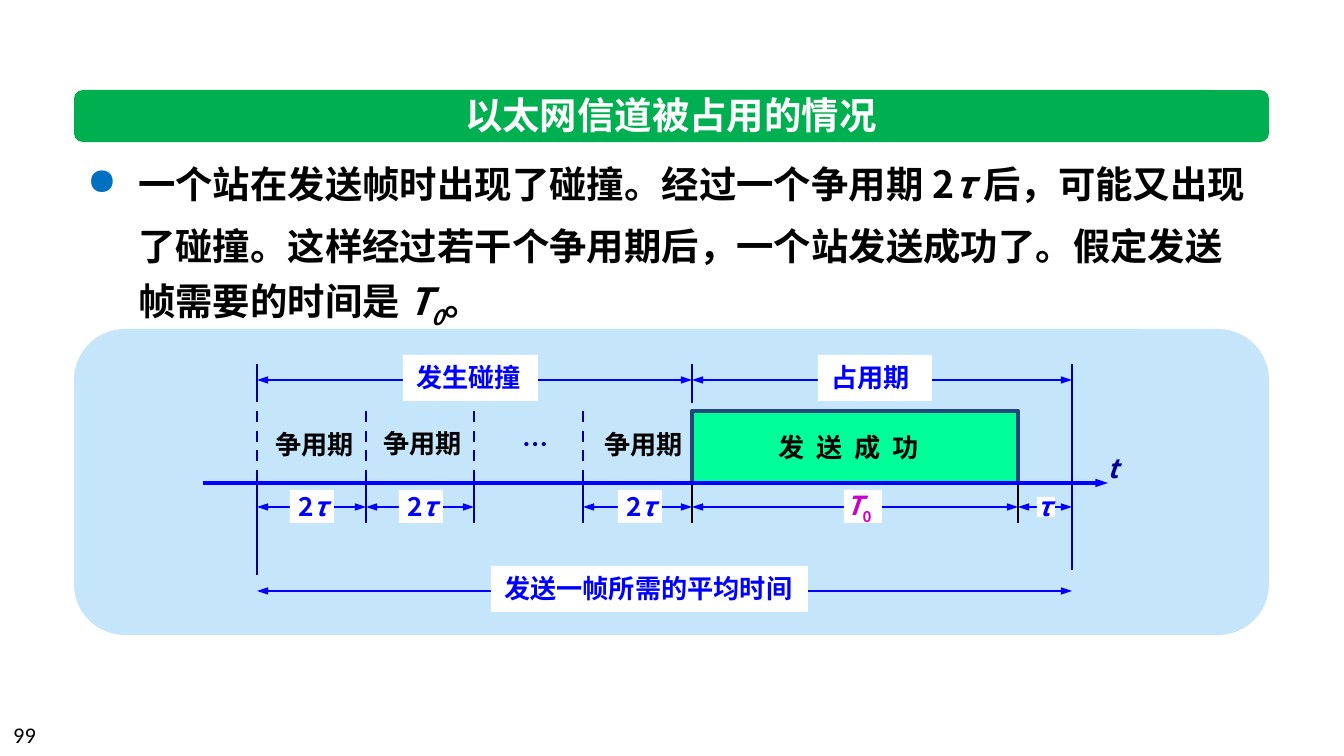
from dataclasses import dataclass

from lxml.etree import SubElement
from pptx import Presentation
from pptx.dml.color import RGBColor
from pptx.enum.dml import MSO_LINE
from pptx.enum.shapes import MSO_CONNECTOR, MSO_SHAPE
from pptx.enum.text import MSO_AUTO_SIZE, MSO_ANCHOR, PP_ALIGN
from pptx.oxml.ns import qn
from pptx.util import Pt

SCALE = 914400 / 134.4
PERIOD_START, PERIOD = 257, 108.7
SEND_END, CYCLE_END = 1018, 1072
AXIS, SPAN_ROW, SLOT_TOP = 483, 507, 411


@dataclass(frozen=True)
class Theme:
    font: str = "Noto Sans CJK SC"
    number_font: str = "Calibri"
    heading_size: int = 20
    label_size: int = 14
    number_size: int = 12
    black: str = "000000"
    white: str = "FFFFFF"
    green: str = "00B050"
    bullet: str = "0070C0"
    panel: str = "C5E5FB"
    blue: str = "0000FF"
    navy: str = "000099"
    success: str = "00FF99"
    border: str = "1F497D"
    magenta: str = "CC00CC"


def px(value):
    return round(value * SCALE)


def color(value):
    return RGBColor.from_string(value)


class Board:
    """Draws styled elements on the current slide or group."""

    def __init__(self, slide, theme):
        self.slide, self.theme = slide, theme
        self.canvas = slide.shapes

    def start_group(self):
        self.canvas = self.slide.shapes.add_group_shape().shapes

    def end_group(self):
        self.canvas = self.slide.shapes

    def box(self, left, top, width, height, fill, kind=MSO_SHAPE.RECTANGLE):
        shape = self.canvas.add_shape(kind, *map(px, (left, top, width, height)))
        shape.shadow.inherit = False
        shape.fill.solid()
        shape.fill.fore_color.rgb = color(fill)
        shape.line.fill.background()
        return shape

    def text(self, left, top, width, height, runs, **style):
        shape = self.canvas.add_textbox(*map(px, (left, top, width, height)))
        return self.set_runs(shape, runs, **style)

    def label(self, left, top, width, height, words):
        shape = self.box(left, top, width, height, self.theme.white)
        return self.set_runs(shape, [(words, {})], ink=self.theme.blue)

    def set_runs(self, shape, runs, ink, size=None, font=None, bold=True,
                 wrap=False, grow=True, align=PP_ALIGN.LEFT):
        frame_format = {
            "word_wrap": wrap,
            "auto_size": MSO_AUTO_SIZE.SHAPE_TO_FIT_TEXT if grow else MSO_AUTO_SIZE.NONE,
            "vertical_anchor": MSO_ANCHOR.TOP,
        }
        for name, value in frame_format.items():
            setattr(shape.text_frame, name, value)
        paragraph = shape.text_frame.paragraphs[0]
        paragraph.alignment = align
        face = font or self.theme.font
        for words, changes in runs:
            run = paragraph.add_run()
            run.text = words
            font_format = {"name": face, "size": Pt(size or self.theme.label_size),
                           "bold": bold, "italic": changes.get("italic", False)}
            for name, value in font_format.items():
                setattr(run.font, name, value)
            run.font.color.rgb = color(ink)
            properties = run._r.get_or_add_rPr()
            SubElement(properties, qn("a:ea")).set("typeface", face)
            if "baseline" in changes:
                properties.set("baseline", str(changes["baseline"]))
        return paragraph

    def bullet(self, paragraph, indent, spacing):
        paragraph.line_spacing = Pt(spacing)
        properties = paragraph._p.get_or_add_pPr()
        properties.set("marL", str(px(indent)))
        properties.set("indent", str(-px(indent)))
        bullet_color = SubElement(properties, qn("a:buClr"))
        SubElement(bullet_color, qn("a:srgbClr")).set("val", self.theme.bullet)
        SubElement(properties, qn("a:buChar")).set("char", "●")

    def line(self, start, end, ink, width=1.5, dash=None, arrows=()):
        connector = self.canvas.add_connector(
            MSO_CONNECTOR.STRAIGHT, *map(px, (*start, *end)))
        connector.line.color.rgb = color(ink)
        for name, value in {"width": Pt(width), "dash_style": dash}.items():
            setattr(connector.line, name, value)
        outline = connector.line._get_or_add_ln()
        for arrow in arrows:
            head = SubElement(outline, qn(f"a:{arrow}"))
            for name, value in {"type": "triangle", "w": "sm", "len": "med"}.items():
                head.set(name, value)
        SubElement(connector._element.spPr, qn("a:effectLst"))

    def span(self, left, right, row):
        self.line((left, row), (right, row), self.theme.blue, arrows=("headEnd", "tailEnd"))

    def upright(self, x, top, bottom, ink, width=1.5, dash=None):
        self.line((x, top), (x, bottom), ink, width, dash)

    def outline(self, points, fill, ink, width):
        builder = self.canvas.build_freeform(*points[0], scale=SCALE)
        builder.add_line_segments(points[1:], close=False)
        shape = builder.convert_to_shape()
        shape.shadow.inherit = False
        shape.fill.solid()
        shape.fill.fore_color.rgb = color(fill)
        shape.line.color.rgb = color(ink)
        shape.line.width = Pt(width)


def draw_text(board):
    theme = board.theme
    italic = {"italic": True}
    paragraph = board.text(74, 138, 1195, 200, [
        ("一个站在发送帧时出现了碰撞。经过一个争用期 2", {}),
        ("τ ", italic),
        ("后，可能又出现了碰撞。这样经过若干个争用期后，一个站发送成功了。假定发送帧需要的时间是 ", {}),
        ("T", italic),
        ("0", {"italic": True, "baseline": -25000}),
        ("。", {}),
    ], ink=theme.black, size=theme.heading_size, wrap=True)
    board.bullet(paragraph, 51, 33)
    board.box(74, 90, 1195, 52, theme.green, MSO_SHAPE.ROUNDED_RECTANGLE)
    board.text(450, 86, 442, 59, [("以太网信道被占用的情况", {})], ink=theme.white,
               size=theme.heading_size, align=PP_ALIGN.CENTER)


def draw_timeline(board):
    theme = board.theme
    ticks = [round(PERIOD_START + PERIOD * step) for step in range(5)]
    start, second, third, fourth, success = ticks
    italic = {"italic": True}
    board.box(74, 329, 1195, 306, theme.panel, MSO_SHAPE.ROUNDED_RECTANGLE)
    for left, right, row in [
        (start, CYCLE_END, 591), (start, success, 380), (success, CYCLE_END, 380),
        (SEND_END, CYCLE_END, SPAN_ROW), (success, SEND_END, SPAN_ROW),
        (fourth, success, SPAN_ROW), (second, third, SPAN_ROW), (start, second, SPAN_ROW),
    ]:
        board.span(left, right, row)
    board.outline([(success, AXIS), (success, SLOT_TOP), (SEND_END, SLOT_TOP),
                   (SEND_END, AXIS)], theme.success, theme.border, 2.25)
    for x in ticks[:4]:
        board.upright(x, SLOT_TOP, AXIS, theme.navy, dash=MSO_LINE.DASH)
    for x in (second, third, fourth, success, SEND_END):
        ink = theme.navy if x < success else theme.black
        board.upright(x, AXIS, 523, ink, 0.75)
    for x, top, bottom in [(start, 364, 402), (start, 480, 575),
                           (success, 364, 403), (CYCLE_END, 364, 570)]:
        board.upright(x, top, bottom, theme.navy)
    board.line((203, AXIS), (1108, AXIS), theme.blue, 2.25, arrows=("tailEnd",))

    board.text(765, 425, 187, 46, [("发  送  成  功", {})], ink=theme.black)
    for left, top in [(262, 422), (370, 421), (591, 422)]:
        board.text(left, top, 114, 46, [("争用期", {})], ink=theme.black)
    board.text(509, 422, 52, 46, [("…", {})], ink=theme.navy)
    for left in (290, 399, 618):
        board.box(left, 490, 44, 33, theme.white)
        board.text(left - 5, 484, 63, 46, [("2", {}), ("τ", italic)],
                   ink=theme.blue, wrap=True)
    board.box(844, 490, 38, 33, theme.white)
    board.text(833, 483, 55, 46, [("T", italic), ("0", {"baseline": -25000})],
               ink=theme.magenta)
    board.box(1037, 497, 18, 20, theme.white)
    board.text(1024, 484, 39, 46, [("τ", italic)], ink=theme.blue)
    board.text(1094, 446, 38, 46, [("t", italic)], ink=theme.navy)
    board.label(818, 355, 114, 46, "占用期")
    board.label(403, 355, 135, 46, "发生碰撞")
    board.label(491, 566, 317, 46, "发送一帧所需的平均时间")


def main():
    presentation = Presentation()
    presentation.slide_width, presentation.slide_height = px(1344), px(756)
    theme = Theme()
    board = Board(presentation.slides.add_slide(presentation.slide_layouts[6]), theme)
    draw_text(board)
    board.start_group()
    draw_timeline(board)
    board.end_group()
    board.text(0, 715, 313, 40, [("99", {})], ink=theme.black, size=theme.number_size,
               font=theme.number_font, bold=False, wrap=True, grow=False)
    presentation.save("out.pptx")


if __name__ == "__main__":
    main()
